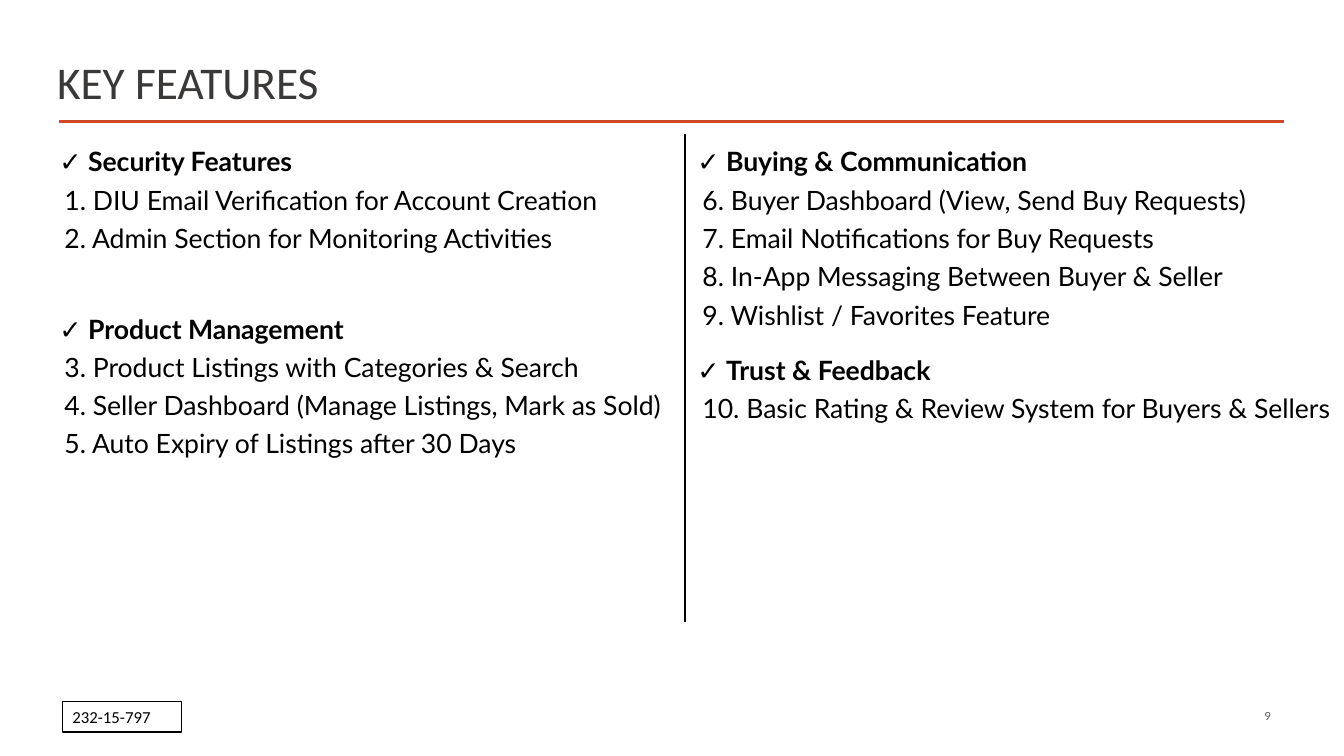
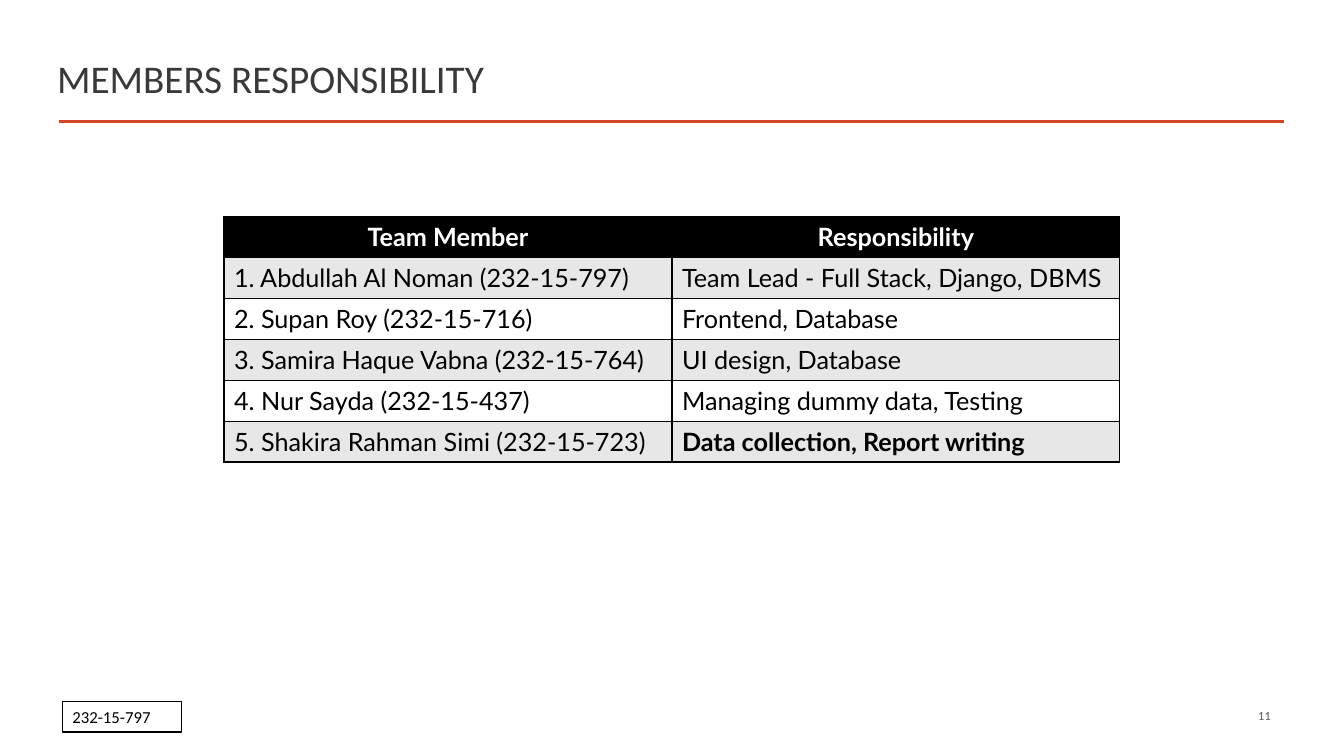
from lxml import etree
from pptx import Presentation
from pptx.dml.color import RGBColor
from pptx.enum.shapes import MSO_CONNECTOR, MSO_SHAPE
from pptx.enum.text import MSO_ANCHOR, PP_ALIGN
from pptx.oxml.ns import qn
from pptx.util import Pt

STRAIGHT = MSO_CONNECTOR.STRAIGHT
RECTANGLE = MSO_SHAPE.RECTANGLE
LEFT, CENTER, RIGHT = PP_ALIGN.LEFT, PP_ALIGN.CENTER, PP_ALIGN.RIGHT
TOP, MIDDLE = MSO_ANCHOR.TOP, MSO_ANCHOR.MIDDLE

BLACK, WHITE, STRIPE = "000000", "FFFFFF", "E7E7E7"
ACCENT, TITLE_GREY, NUMBER_GREY = "D24726", "3B3838", "595959"
TITLE_FONT, BODY_FONT, TICK_FONT = "Calibri", "Lato", "Roboto"
BODY_SIZE, LINE_SPACING = 19, 1.2
STUDENT_ID = "232-15-797"

# Each group: heading, its lines, space above and space below
LEFT_GROUPS = [
    ("Security Features", [
        "1. DIU Email Verification for Account Creation",
        "2. Admin Section for Monitoring Activities",
    ], 0, 0),
    ("Product Management", [
        "3. Product Listings with Categories & Search",
        "4. Seller Dashboard (Manage Listings, Mark as Sold)",
        "5. Auto Expiry of Listings after 30 Days",
    ], 37.4, 0),
]
RIGHT_GROUPS = [
    ("Buying & Communication", [
        "6. Buyer Dashboard (View, Send Buy Requests)",
        "7. Email Notifications for Buy Requests",
        "8. In-App Messaging Between Buyer & Seller",
        "9. Wishlist / Favorites Feature",
    ], 0, 12),
    ("Trust & Feedback", [
        "10. Basic Rating & Review System for Buyers & Sellers",
    ], 0, 0),
]
MEMBERS = [
    ("Team Member", "Responsibility"),
    ("1. Abdullah Al Noman (232-15-797)", "Team Lead - Full Stack, Django, DBMS"),
    ("2. Supan Roy (232-15-716)", "Frontend, Database"),
    ("3. Samira Haque Vabna (232-15-764)", "UI design, Database"),
    ("4. Nur Sayda (232-15-437)", "Managing dummy data, Testing"),
    ("5. Shakira Rahman Simi (232-15-723)", "Data collection, Report writing"),
]
BOLD_CELLS = {(0, 0), (0, 1), (5, 1)}


def color(hex_code):
    return RGBColor.from_string(hex_code)


def add_span(para, text, size, font, hex_code, bold=False):
    span = para.add_run()
    span.text = text
    span.font.size = Pt(size)
    span.font.name = font
    span.font.bold = bold
    span.font.color.rgb = color(hex_code)


def add_text_box(page, left, top, width, height, anchor=TOP):
    box = page.shapes.add_textbox(Pt(left), Pt(top), Pt(width), Pt(height))
    box.text_frame.word_wrap = True
    box.text_frame.vertical_anchor = anchor
    return box.text_frame


def add_line(page, start, end, hex_code, width):
    line = page.shapes.add_connector(STRAIGHT, *map(Pt, start + end))
    line.line.color.rgb = color(hex_code)
    line.line.width = Pt(width)
    etree.SubElement(line._element.spPr, qn("a:effectLst"))


def add_title(page, text, size):
    frame = add_text_box(page, 35.3, 35.5, 882.7, 44)
    frame.margin_left = Pt(5.5)
    add_span(frame.paragraphs[0], text, size, TITLE_FONT, TITLE_GREY)
    add_line(page, (42, 87), (917.5, 87), ACCENT, 2)


def add_footer(page, number):
    frame = add_text_box(page, 657.3, 506.2, 257.8, 10.8, MIDDLE)
    frame.margin_top = frame.margin_bottom = 0
    frame.paragraphs[0].alignment = RIGHT
    add_span(frame.paragraphs[0], number, 8, BODY_FONT, NUMBER_GREY)

    badge = page.shapes.add_shape(RECTANGLE, Pt(44.6), Pt(501.2), Pt(85), Pt(21.8))
    badge.shadow.inherit = False
    badge.fill.solid()
    badge.fill.fore_color.rgb = color(WHITE)
    badge.line.color.rgb = color(BLACK)
    badge.line.width = Pt(1)
    badge.text_frame.vertical_anchor = MIDDLE
    badge.text_frame.paragraphs[0].alignment = LEFT
    add_span(badge.text_frame.paragraphs[0], STUDENT_ID, 12, TITLE_FONT, BLACK)


def add_page(deck, title, title_size, number):
    """Add a slide with the shared title, rule and footer."""
    page = deck.slides.add_slide(deck.slide_layouts[6])
    add_title(page, title, title_size)
    add_footer(page, number)
    return page


def add_feature_column(page, groups, left, top, width, height):
    frame = add_text_box(page, left, top, width, height)
    frame.margin_right = 0
    para = frame.paragraphs[0]
    for heading, lines, space_above, space_below in groups:
        if para.runs:
            para = frame.add_paragraph()
        para.line_spacing = LINE_SPACING
        para.space_before = Pt(space_above)
        add_span(para, "✓ ", BODY_SIZE, TICK_FONT, BLACK, True)
        add_span(para, heading, BODY_SIZE, BODY_FONT, BLACK, True)
        for line in lines:
            para = frame.add_paragraph()
            para.line_spacing = LINE_SPACING
            para._p.get_or_add_pPr().set("marL", str(Pt(3.7)))
            add_span(para, line, BODY_SIZE, BODY_FONT, BLACK)
        para.space_after = Pt(space_below)


def set_cell_borders(cell, hex_code, width):
    properties = cell._tc.get_or_add_tcPr()
    for index, side in enumerate(("lnL", "lnR", "lnT", "lnB")):
        border = etree.Element(qn(f"a:{side}"), w=str(Pt(width)))
        fill = etree.SubElement(border, qn("a:solidFill"))
        etree.SubElement(fill, qn("a:srgbClr"), val=hex_code)
        properties.insert(index, border)


def add_member_table(page, left, top, width, row_height):
    rows, columns = len(MEMBERS), len(MEMBERS[0])
    table = page.shapes.add_table(
        rows, columns, Pt(left), Pt(top), Pt(width), Pt(row_height * rows)).table
    for row, texts in enumerate(MEMBERS):
        is_header = row == 0
        row_fill = BLACK if is_header else STRIPE if row % 2 else WHITE
        for column, text in enumerate(texts):
            cell = table.cell(row, column)
            cell.fill.solid()
            cell.fill.fore_color.rgb = color(row_fill)
            set_cell_borders(cell, BLACK, 1)
            para = cell.text_frame.paragraphs[0]
            para.alignment = CENTER if is_header else LEFT
            add_span(para, text, 18, BODY_FONT, WHITE if is_header else BLACK,
                     (row, column) in BOLD_CELLS)


def build_features_page(deck):
    page = add_page(deck, "KEY FEATURES", 32.4, "9")
    top, height = 95.8, 410.4
    add_feature_column(page, LEFT_GROUPS, 35.3, top, 454, height)
    add_feature_column(page, RIGHT_GROUPS, 491, top, 469, height)
    add_line(page, (489.6, top), (489.6, 444.2), BLACK, 1.5)


def build_members_page(deck):
    page = add_page(deck, "MEMBERS RESPONSIBILITY", 28, "11")
    add_member_table(page, 160, 154.8, 640, 29.2)


def main():
    deck = Presentation()
    deck.slide_width, deck.slide_height = Pt(960), Pt(540)
    build_features_page(deck)
    build_members_page(deck)
    deck.save("out.pptx")


if __name__ == "__main__":
    main()
